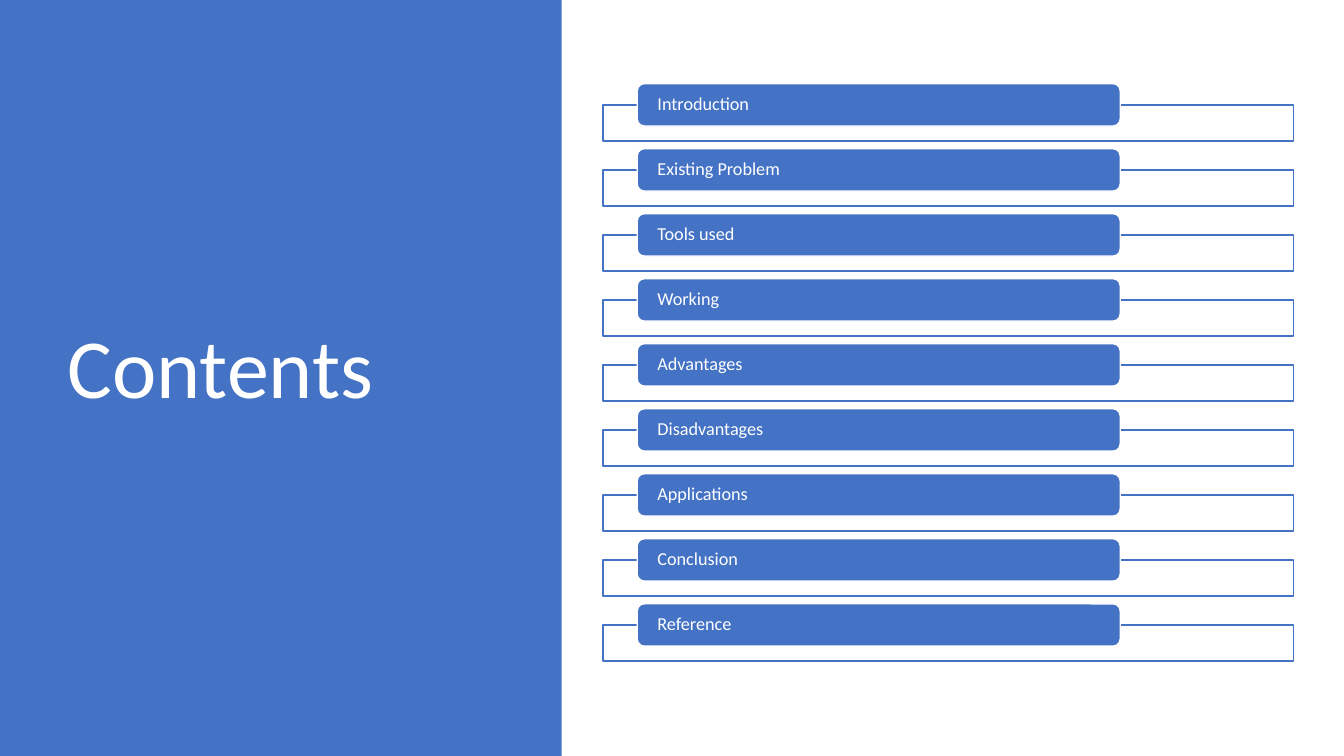
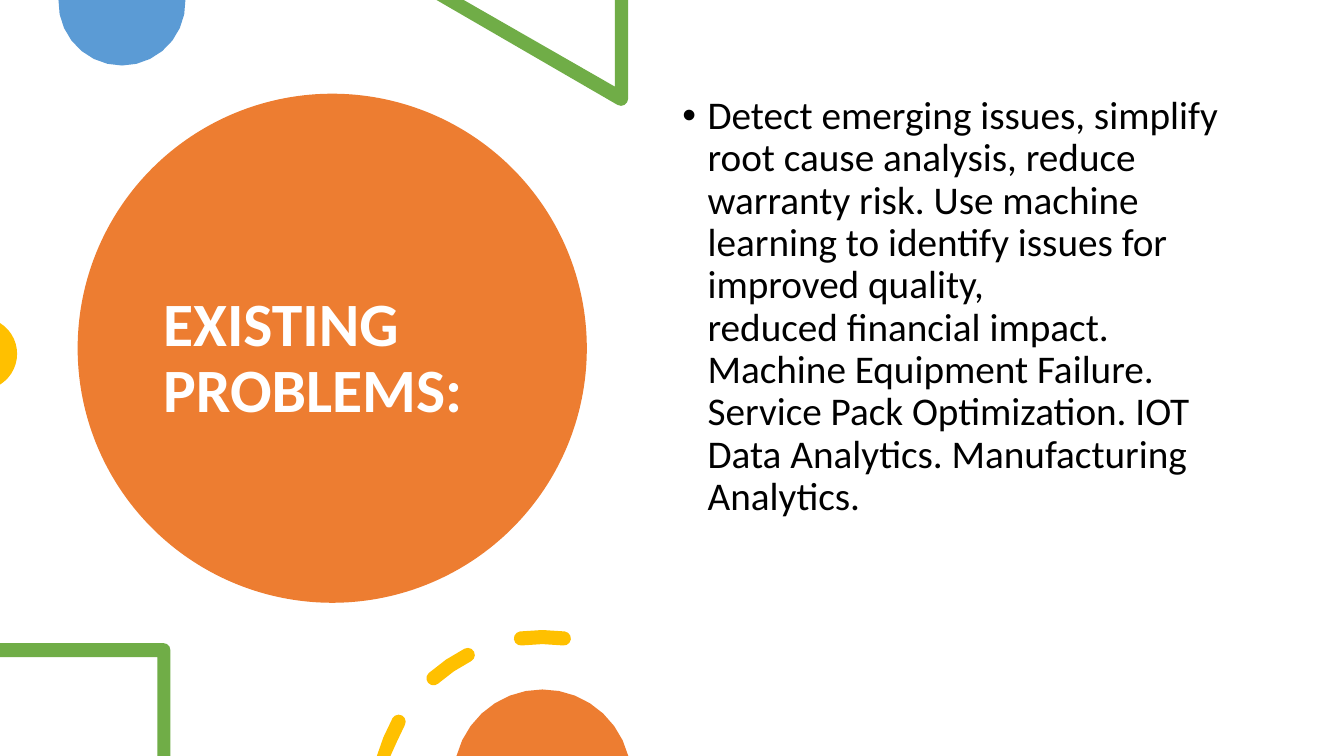
from math import cos, radians, sin
from lxml.etree import SubElement
from pptx import Presentation
from pptx.dml.color import RGBColor
from pptx.enum.shapes import MSO_SHAPE
from pptx.enum.text import MSO_ANCHOR, PP_ALIGN
from pptx.oxml.ns import qn
from pptx.util import Inches, Pt

FONT = "Calibri"
WHITE = RGBColor(0xFF, 0xFF, 0xFF)
BLACK = RGBColor(0, 0, 0)
BLUE = RGBColor(0x44, 0x72, 0xC4)
SKY = RGBColor(0x5B, 0x9B, 0xD5)
ORANGE = RGBColor(0xED, 0x7D, 0x31)
GREEN = RGBColor(0x70, 0xAD, 0x47)
GOLD = RGBColor(0xFF, 0xC0, 0x00)
WIDE, HIGH = 13.33, 7.5

TOPICS = ["Introduction", "Existing Problem", "Tools used", "Working",
          "Advantages", "Disadvantages", "Applications", "Conclusion",
          "Reference"]
PROBLEM = ("Detect emerging issues, simplify root cause analysis, reduce "
           "warranty risk.\u00a0Use machine learning to\u00a0identify\u00a0"
           "issues\u00a0for improved quality, reduced\u00a0financial impact. "
           "Machine Equipment Failure. Service Pack Optimization.\u00a0IOT "
           "Data Analytics. Manufacturing Analytics.")

# Circles cut by a slide edge: centre x, y, radius, first and last angle, colour
SUN = (5.38, 7.72, 0.88, 194.5, 345.5, ORANGE)
CUTS = [(1.21, 0.02, 0.63, -2, 182, SKY),
        (-0.19, 3.51, 0.36, -58, 58, GOLD)]
# Dashes on one ring: first and last angle
RING = (5.38, 7.95, 1.63)
DASHES = [(195, 209), (228.5, 243), (262.5, 277.5)]
HALF = 0.07


def arc(x, y, r, first, last, count):
    """Return points along a circle, clockwise as angles grow."""
    turns = [radians(first + (last - first) * i / count)
             for i in range(count + 1)]
    return [(x + r * cos(t), y + r * sin(t)) for t in turns]


def dash(first, last):
    """Return the outline of a round-ended dash on the ring."""
    x, y, r = RING

    def cap(turn, start):
        """Return the half circle that ends the dash."""
        a = radians(turn)
        return arc(x + r * cos(a), y + r * sin(a), HALF, start, start + 180, 6)

    # Each cap supplies the corners, so the long sides need only a midpoint
    mid = (first + last) / 2
    return (arc(x, y, r + HALF, mid, mid, 1)[:1] + cap(last, last)
            + arc(x, y, r - HALF, mid, mid, 1)[:1] + cap(first, first + 180))


def paint(shape, fill, line=None):
    """Set fill and line and drop the shadow."""
    shape.shadow.inherit = False
    shape.fill.solid()
    shape.fill.fore_color.rgb = fill
    if line is None:
        shape.line.fill.background()
    else:
        shape.line.color.rgb = line
        shape.line.width = Pt(1)
    return shape


def block(slide, kind, box, fill, line=None):
    """Add a painted preset shape."""
    return paint(slide.shapes.add_shape(kind, *map(Inches, box)), fill, line)


def outline(slide, fill, *rings):
    """Add one filled shape of closed rings that stop at the slide edges."""
    rings = [[(Inches(min(max(x, 0), WIDE)), Inches(min(max(y, 0), HIGH)))
              for x, y in ring] for ring in rings]
    pen = slide.shapes.build_freeform(*rings[0][0], scale=1.0)
    for i, ring in enumerate(rings):
        if i:
            pen.move_to(*ring[0])
        pen.add_line_segments(ring[1:], close=True)
    paint(pen.convert_to_shape(), fill)


def cut(slide, x, y, r, first, last, color):
    """Add a circle cut by a slide edge."""
    outline(slide, color, arc(x, y, r, first, last, 14))


def write(shape, text, size, color, bold=False, anchor=MSO_ANCHOR.MIDDLE):
    """Set the text of a shape and return its paragraph."""
    frame = shape.text_frame
    frame.word_wrap = True
    frame.vertical_anchor = anchor
    para = frame.paragraphs[0]
    para.text = text
    para.alignment = PP_ALIGN.LEFT
    para.line_spacing = 0.9
    font = para.font
    font.name, font.size, font.bold = FONT, Pt(size), bold
    font.color.rgb = color
    return para


def label(slide, box, *args, **more):
    """Add a text box and return its paragraph."""
    return write(slide.shapes.add_textbox(*map(Inches, box)), *args, **more)


def contents(slide):
    """Build the list of topics."""
    block(slide, MSO_SHAPE.RECTANGLE, (0, 0, 5.57, HIGH), BLUE)
    label(slide, (0.57, 0.67, 4.16, 6.02), "Contents", 60, WHITE)
    for i, topic in enumerate(TOPICS):
        top = 0.83 + 0.645 * i
        frame = block(slide, MSO_SHAPE.RECTANGLE,
                      (5.98, top + 0.21, 6.85, 0.36), WHITE, BLUE)
        tint = frame.fill._xPr.find(qn("a:solidFill"))[0]
        SubElement(tint, qn("a:alpha")).set("val", "90000")
        pill = block(slide, MSO_SHAPE.ROUNDED_RECTANGLE,
                     (6.32, top, 4.79, 0.42), BLUE, WHITE)
        text = pill.text_frame
        text.margin_left = text.margin_right = Inches(0.18)
        text.margin_top = text.margin_bottom = 0
        write(pill, topic, 13, WHITE)


def problems(slide):
    """Build the statement of problems among cut-off ornaments."""
    block(slide, MSO_SHAPE.OVAL, (0.77, 0.93, 5.05, 5.05), ORANGE)
    label(slide, (1.52, 1.34, 3.54, 4.45), "EXISTING PROBLEMS:", 44, WHITE,
          bold=True)
    for part in CUTS:
        cut(slide, *part)
    wedge = [(6.23, 0), (6.1, 0), (6.1, 0.86), (4.6, 0), (4.33, 0)]
    outline(slide, GREEN, wedge + arc(6.16, 0.98, HALF, 120, 0, 4))
    bend = [(1.69, HIGH), (1.56, HIGH), (1.56, 6.52), (0, 6.52), (0, 6.38)]
    outline(slide, GREEN, bend + arc(1.62, 6.45, HALF, -90, 0, 3))
    outline(slide, GOLD, *[dash(*ends) for ends in DASHES])
    cut(slide, *SUN)

    para = label(slide, (6.67, 0.9, 5.75, 5.35), PROBLEM, 28, BLACK,
                 anchor=MSO_ANCHOR.TOP)
    para.space_before = Pt(10)
    props = para._p.get_or_add_pPr()
    props.set("marL", str(Inches(0.25)))
    props.set("indent", str(-Inches(0.25)))
    SubElement(props, qn("a:buFont")).set("typeface", "Arial")
    SubElement(props, qn("a:buChar")).set("char", "\u2022")
    # The schema wants run defaults after the bullet
    props.append(props.find(qn("a:defRPr")))


deck = Presentation()
deck.slide_width, deck.slide_height = Inches(WIDE), Inches(HIGH)
for build in (contents, problems):
    build(deck.slides.add_slide(deck.slide_layouts[6]))
deck.save("out.pptx")
